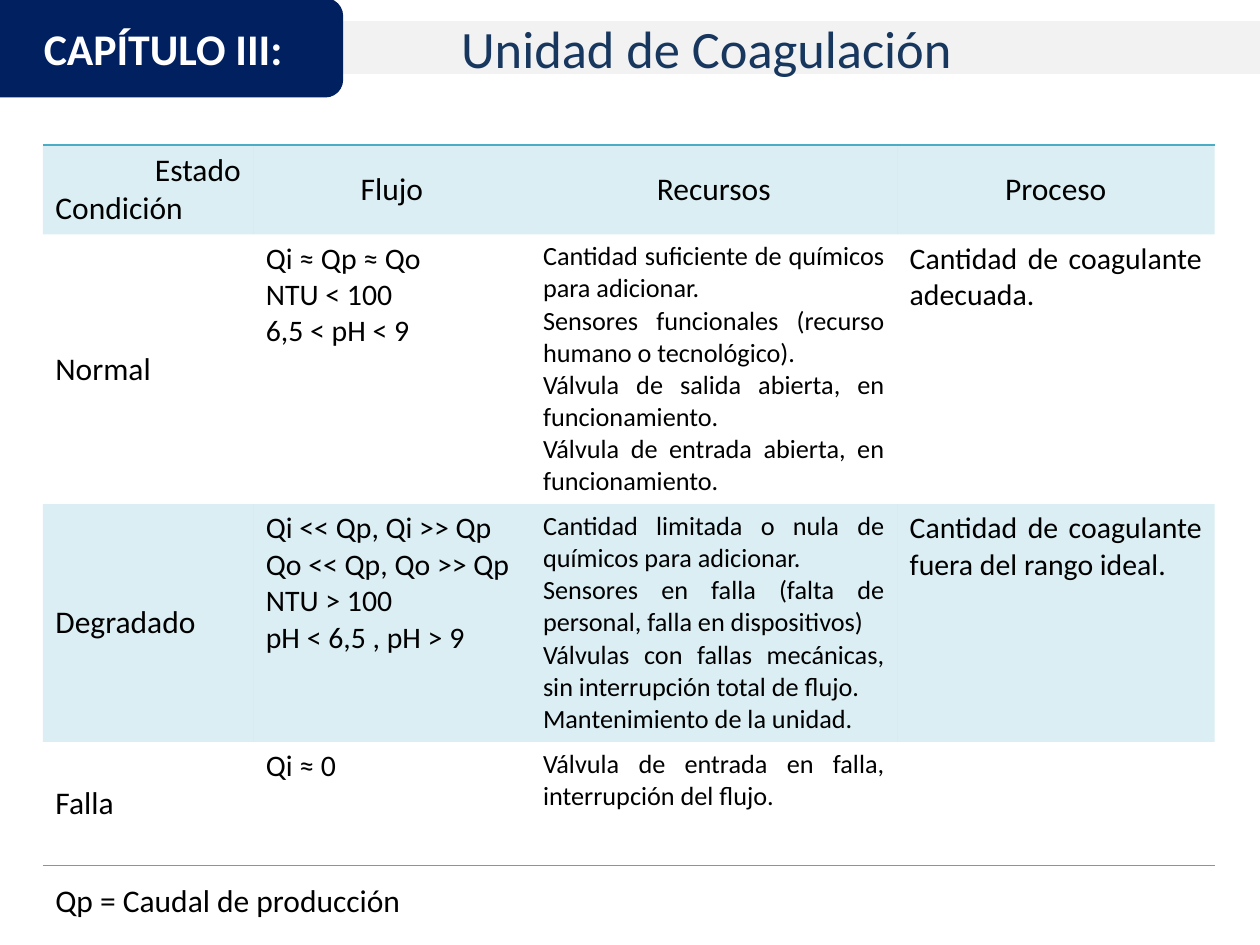
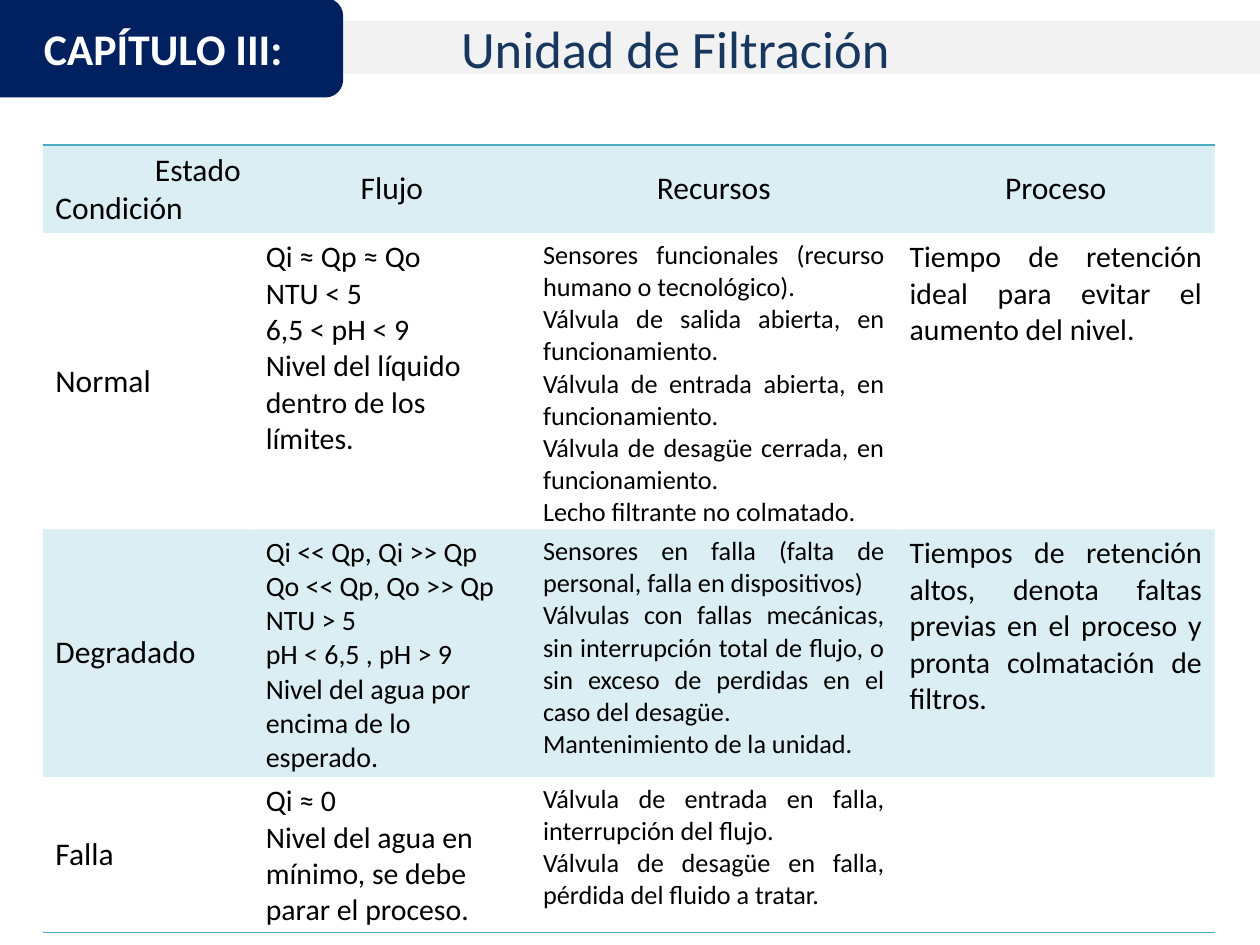
import pptx
import pptx.util
import pptx.dml.color
import pptx.enum.shapes
import pptx.enum.text
import pptx.oxml.ns
from lxml import etree

Inches = pptx.util.Inches
Pt = pptx.util.Pt
ALIGN = pptx.enum.text.PP_ALIGN
ANCHOR = pptx.enum.text.MSO_ANCHOR
SHAPE = pptx.enum.shapes.MSO_SHAPE
qn = pptx.oxml.ns.qn

FONT = "Calibri"
COLORS = {
    "band": "F2F2F2",
    "chapter": "002060",
    "title": "17375E",
    "accent": "4BACC6",
    "text": "000000",
    "white": "FFFFFF",
}
TINT_ALPHA = 20000

COLUMN_WIDTHS = [1.67, 2.2, 2.91, 2.52]
ROW_HEIGHTS = [0.67, 2.01, 1.77, 0.98]
HEADINGS = ["Flujo", "Recursos", "Proceso"]
CONDITIONS = ["Normal", "Degradado", "Falla"]
LABEL_SIZE, FLOW_SIZE, RESOURCE_SIZE, PROCESS_SIZE = 18, 17, 15, 17

# Each row holds the paragraphs for flow, resources and process
COAGULATION = [
    (["Qi ≈ Qp ≈ Qo", "NTU < 100", "6,5 < pH < 9"],
     ["Cantidad suficiente de químicos para adicionar.",
      "Sensores funcionales (recurso humano o tecnológico).",
      "Válvula de salida abierta, en funcionamiento.",
      "Válvula de entrada abierta, en funcionamiento."],
     ["Cantidad de coagulante adecuada."]),
    (["Qi << Qp, Qi >> Qp", "Qo << Qp, Qo >> Qp", "NTU > 100",
      "pH < 6,5 , pH > 9"],
     ["Cantidad limitada o nula de químicos para adicionar.",
      "Sensores en falla (falta de personal, falla en dispositivos)",
      "Válvulas con fallas mecánicas, sin interrupción total de flujo.",
      "Mantenimiento de la unidad."],
     ["Cantidad de coagulante fuera del rango ideal."]),
    (["Qi ≈ 0"],
     ["Válvula de entrada en falla, interrupción del flujo."],
     []),
]
FILTRATION = [
    (["Qi ≈ Qp ≈ Qo", "NTU < 5", "6,5 < pH < 9",
      "Nivel del líquido dentro de los límites."],
     ["Sensores funcionales (recurso humano o tecnológico).",
      "Válvula de salida abierta, en funcionamiento.",
      "Válvula de entrada abierta, en funcionamiento.",
      "Válvula de desagüe cerrada, en funcionamiento.",
      "Lecho filtrante no colmatado."],
     ["Tiempo de retención ideal para evitar el aumento del nivel."]),
    (["Qi << Qp, Qi >> Qp", "Qo << Qp, Qo >> Qp", "NTU > 5",
      "pH < 6,5 , pH > 9", "Nivel del agua por encima de lo esperado."],
     ["Sensores en falla (falta de personal, falla en dispositivos)",
      "Válvulas con fallas mecánicas, sin interrupción total de flujo, "
      "o sin exceso de perdidas en el caso del desagüe.",
      "Mantenimiento de la unidad."],
     ["Tiempos de retención altos, denota faltas previas en el proceso "
      "y pronta colmatación de filtros."]),
    (["Qi ≈ 0", "Nivel del agua en mínimo, se debe parar el proceso."],
     ["Válvula de entrada en falla, interrupción del flujo.",
      "Válvula de desagüe en falla, pérdida del fluido a tratar."],
     []),
]


def color(name):
    return pptx.dml.color.RGBColor.from_string(COLORS[name])


def write(text_frame, lines, size, color_name="text", align=ALIGN.LEFT, bold=False):
    """Write one paragraph for each line."""
    for index, line in enumerate(lines):
        paragraph = text_frame.add_paragraph() if index else text_frame.paragraphs[0]
        paragraph.alignment = align
        run = paragraph.add_run()
        run.text = line
        run.font.name = FONT
        run.font.size = Pt(size)
        run.font.bold = bold
        run.font.color.rgb = color(color_name)


def add_box(slide, kind, left, top, width, height, fill):
    shape = slide.shapes.add_shape(
        kind, Inches(left), Inches(top), Inches(width), Inches(height))
    shape.shadow.inherit = False
    shape.fill.solid()
    shape.fill.fore_color.rgb = color(fill)
    shape.line.color.rgb = color(fill)
    shape.line.width = Pt(2)
    shape.text_frame.word_wrap = True
    shape.text_frame.vertical_anchor = ANCHOR.MIDDLE
    return shape


def add_header(slide, title):
    band = add_box(slide, SHAPE.RECTANGLE, 2.56, 0.18, 7.44, 0.39, "band")
    band.text_frame.margin_left = Inches(1.1)
    write(band.text_frame, [title], 30, "title")
    chapter = add_box(slide, SHAPE.ROUNDED_RECTANGLE, -0.12, 0, 2.83, 0.76, "chapter")
    write(chapter.text_frame, ["CAPÍTULO III:"], 25, "white", ALIGN.CENTER, True)


def set_borders(cell, visible_sides):
    """Draw an accent line on the given sides (L, R, T, B) and none elsewhere."""
    properties = cell._tc.get_or_add_tcPr()
    for side in "LRTB":
        line = etree.SubElement(properties, qn("a:ln" + side))
        if side in visible_sides:
            line.set("w", str(Pt(1)))
            fill = etree.SubElement(line, qn("a:solidFill"))
            etree.SubElement(fill, qn("a:srgbClr"), val=COLORS["accent"])
        else:
            etree.SubElement(line, qn("a:noFill"))


def style_cell(cell, row):
    visible_sides = {0: "T", len(ROW_HEIGHTS) - 1: "B"}.get(row, "")
    set_borders(cell, visible_sides)
    if row % 2:
        cell.fill.background()
        return
    cell.fill.solid()
    cell.fill.fore_color.rgb = color("accent")
    tint = cell._tc.tcPr.find(qn("a:solidFill")).find(qn("a:srgbClr"))
    etree.SubElement(tint, qn("a:alpha"), val=str(TINT_ALPHA))


def add_condition_table(slide, rows, flow_sizes):
    frame = slide.shapes.add_table(
        len(ROW_HEIGHTS), len(COLUMN_WIDTHS), Inches(0.34), Inches(1.15),
        Inches(sum(COLUMN_WIDTHS)), Inches(sum(ROW_HEIGHTS)))
    table = frame.table
    table.first_row = False
    table.horz_banding = False
    for column, width in zip(table.columns, COLUMN_WIDTHS):
        column.width = Inches(width)
    for row_index, height in enumerate(ROW_HEIGHTS):
        table.rows[row_index].height = Inches(height)
        for cell in table.rows[row_index].cells:
            style_cell(cell, row_index)

    # Heading row
    corner = table.cell(0, 0)
    corner.vertical_anchor = ANCHOR.BOTTOM
    write(corner.text_frame, ["Estado", "Condición"], LABEL_SIZE)
    corner.text_frame.paragraphs[0].alignment = ALIGN.RIGHT
    for column_index, heading in enumerate(HEADINGS, 1):
        cell = table.cell(0, column_index)
        cell.vertical_anchor = ANCHOR.MIDDLE
        write(cell.text_frame, [heading], LABEL_SIZE, align=ALIGN.CENTER)

    # One row for each condition
    for row_index, (condition, contents, flow_size) in enumerate(
            zip(CONDITIONS, rows, flow_sizes), 1):
        label = table.cell(row_index, 0)
        label.vertical_anchor = ANCHOR.MIDDLE
        write(label.text_frame, [condition], LABEL_SIZE)
        sizes = [flow_size, RESOURCE_SIZE, PROCESS_SIZE]
        aligns = [ALIGN.LEFT, ALIGN.JUSTIFY, ALIGN.JUSTIFY]
        for column_index, (lines, size, align) in enumerate(
                zip(contents, sizes, aligns), 1):
            cell = table.cell(row_index, column_index)
            write(cell.text_frame, lines, size, align=align)


def add_note(slide, text):
    box = slide.shapes.add_textbox(Inches(0.34), Inches(6.94), Inches(2.98), Inches(0.4))
    box.text_frame.word_wrap = False
    box.text_frame.auto_size = pptx.enum.text.MSO_AUTO_SIZE.SHAPE_TO_FIT_TEXT
    write(box.text_frame, [text], LABEL_SIZE)


def add_unit_slide(presentation, title, rows, flow_sizes):
    slide = presentation.slides.add_slide(presentation.slide_layouts[6])
    add_header(slide, title)
    add_condition_table(slide, rows, flow_sizes)
    return slide


def main():
    presentation = pptx.Presentation()
    presentation.slide_width = Inches(10)
    presentation.slide_height = Inches(7.5)

    coagulation = add_unit_slide(
        presentation, "Unidad de Coagulación", COAGULATION, [FLOW_SIZE] * 3)
    add_note(coagulation, "Qp = Caudal de producción")

    # The middle flow cell is longer, so its text is smaller
    add_unit_slide(presentation, "Unidad de Filtración", FILTRATION,
                   [FLOW_SIZE, 16, FLOW_SIZE])

    presentation.save("out.pptx")


if __name__ == "__main__":
    main()
